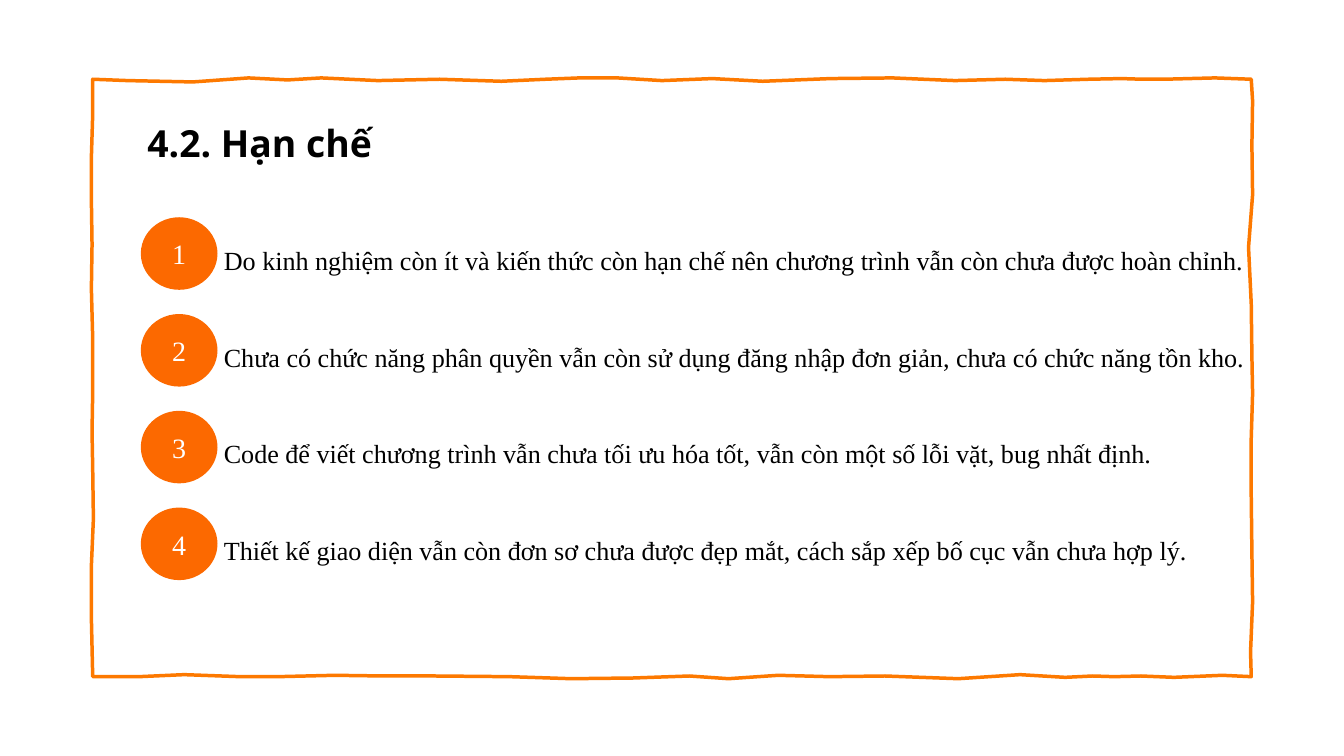
from pptx import Presentation
from pptx.dml.color import RGBColor
from pptx.enum.shapes import MSO_SHAPE
from pptx.enum.text import MSO_ANCHOR, MSO_AUTO_SIZE, PP_ALIGN
from pptx.util import Inches, Pt

COLORS = {"paper": "FFFFFF", "ink": "000000", "frame": "FD7900", "badge": "FC6900"}
BODY_FONT, TITLE_FONT = "Times New Roman", "Open Sans"
CELL = 0.36  # inches per grid column and row

LIMITATIONS = [
    ("Do kinh nghiệm còn ít và kiến thức còn hạn chế nên chương trình vẫn còn chưa được hoàn chỉnh.", 42.75),
    ("Chưa có chức năng phân quyền vẫn còn sử dụng đăng nhập đơn giản, chưa có chức năng tồn kho.", 42.75),
    ("Code để viết chương trình vẫn chưa tối ưu hóa tốt, vẫn còn một số lỗi vặt, bug nhất định.", 40.75),
    ("Thiết kế giao diện vẫn còn đơn sơ chưa được đẹp mắt, cách sắp xếp bố cục vẫn chưa hợp lý.", 43.47),
]

# Frame sides in hundredths of an inch. Each wave: (place along the side, offset from it).
LEFT, TOP, RIGHT, BOTTOM = 138, 118, 1862, 1007
BOTTOM_WAVES = [
    (166, 0), (207, 0), (274, -3), (357, 0), (414, 0), (498, -2), (573, -1), (648, -1),
    (758, 0), (850, 3), (942, 2), (1026, -1), (1084, 3), (1158, -2), (1234, 0), (1317, -1),
    (1426, 3), (1518, -3), (1585, 1), (1626, -1), (1658, 0), (1698, -1), (1747, 1),
    (1819, -2), (RIGHT, 0),
]
RIGHT_WAVES = [
    (970, -1), (896, 2), (822, 1), (739, 0), (652, 0), (586, 2), (530, 1), (452, 0),
    (368, -4), (290, 2), (216, 1), (150, 2), (TOP, 0),
]
TOP_WAVES = [
    (1808, -2), (1732, 0), (1700, 0), (1669, -1), (1620, 0), (1554, 2), (1496, 0), (1421, 2),
    (1328, -2), (1236, -1), (1135, 3), (1060, -1), (985, 2), (919, -2), (862, -2), (812, 0),
    (746, 3), (654, 0), (562, 2), (478, -2), (428, 1), (370, -2), (287, 4), (190, 2), (LEFT, 0),
]
LEFT_WAVES = [
    (170, 0), (234, -2), (298, -2), (364, -1), (430, -2), (504, 0), (582, 0), (642, -1),
    (698, 0), (772, 1), (842, -2), (920, -2),
]


def write_text(shape, text, size=28, font=BODY_FONT, color="ink", bold=None, align=None,
               anchor=MSO_ANCHOR.TOP, line_spacing=None, space_after=None, auto_size=None):
    frame = shape.text_frame
    frame.word_wrap = True
    frame.vertical_anchor = anchor
    if auto_size is not None:
        frame.auto_size = auto_size
    paragraph = frame.paragraphs[0]
    paragraph.alignment = align
    paragraph.line_spacing = line_spacing
    paragraph.space_after = space_after
    run = paragraph.add_run()
    run.text = text
    run.font.size = Pt(size)
    run.font.name = font
    run.font.bold = bold
    run.font.color.rgb = RGBColor.from_string(COLORS[color])


class SlideBuilder:
    def __init__(self, slide):
        self.slide = slide

    def grid(self, *cells):
        return [Inches(cell * CELL) for cell in cells]

    def filled_shape(self, kind, box, color):
        shape = self.slide.shapes.add_shape(kind, *box)
        shape.shadow.inherit = False
        shape.fill.solid()
        shape.fill.fore_color.rgb = RGBColor.from_string(COLORS[color])
        shape.line.fill.background()
        return shape

    def background(self, width, height):
        self.filled_shape(MSO_SHAPE.RECTANGLE, (0, 0, width, height), "paper")

    def wavy_frame(self):
        points = [(x, BOTTOM + offset) for x, offset in BOTTOM_WAVES]
        points += [(RIGHT + offset, y) for y, offset in RIGHT_WAVES]
        points += [(x, TOP + offset) for x, offset in TOP_WAVES]
        points += [(LEFT + offset, y) for y, offset in LEFT_WAVES]
        outline = self.slide.shapes.build_freeform(LEFT, BOTTOM, scale=Inches(0.01))
        outline.add_line_segments(points, close=True)
        shape = outline.convert_to_shape()
        shape.shadow.inherit = False
        shape.fill.background()
        shape.line.color.rgb = RGBColor.from_string(COLORS["frame"])
        shape.line.width = Pt(3.75)

    def badge(self, number, column, row):
        box = self.grid(column, row, 3.17, 3)
        shape = self.filled_shape(MSO_SHAPE.OVAL, box, "badge")
        write_text(shape, str(number), size=30, color="paper",
                   align=PP_ALIGN.CENTER, anchor=MSO_ANCHOR.MIDDLE)

    def text_box(self, text, column, row, columns, rows, **text_format):
        box = self.slide.shapes.add_textbox(*self.grid(column, row, columns, rows))
        write_text(box, text, **text_format)


def main():
    presentation = Presentation()
    presentation.slide_width = Inches(20)
    presentation.slide_height = Inches(11.25)
    builder = SlideBuilder(presentation.slides.add_slide(presentation.slide_layouts[6]))

    builder.background(presentation.slide_width, presentation.slide_height)
    builder.wavy_frame()
    for index, (text, columns) in enumerate(LIMITATIONS):
        row = 8.98 + 4 * index
        builder.badge(index + 1, 5.82, row)
        builder.text_box(text, 8.98, row + 0.33, columns, 2, line_spacing=1.5,
                         auto_size=MSO_AUTO_SIZE.SHAPE_TO_FIT_TEXT)
    builder.text_box("4.2. Hạn chế", 5.82, 5.03, 22.78, 2.58, size=40, font=TITLE_FONT,
                     bold=True, line_spacing=0.9, space_after=Pt(6))
    presentation.save("out.pptx")


if __name__ == "__main__":
    main()
